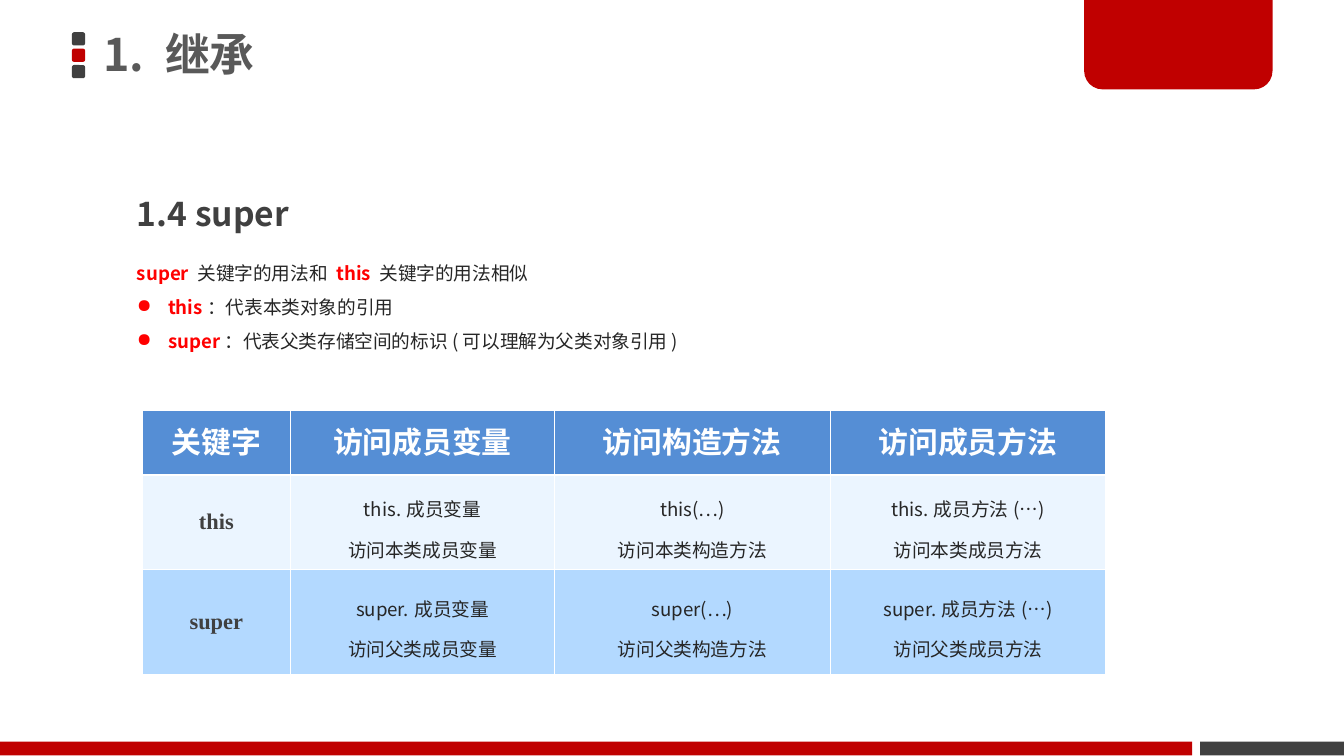
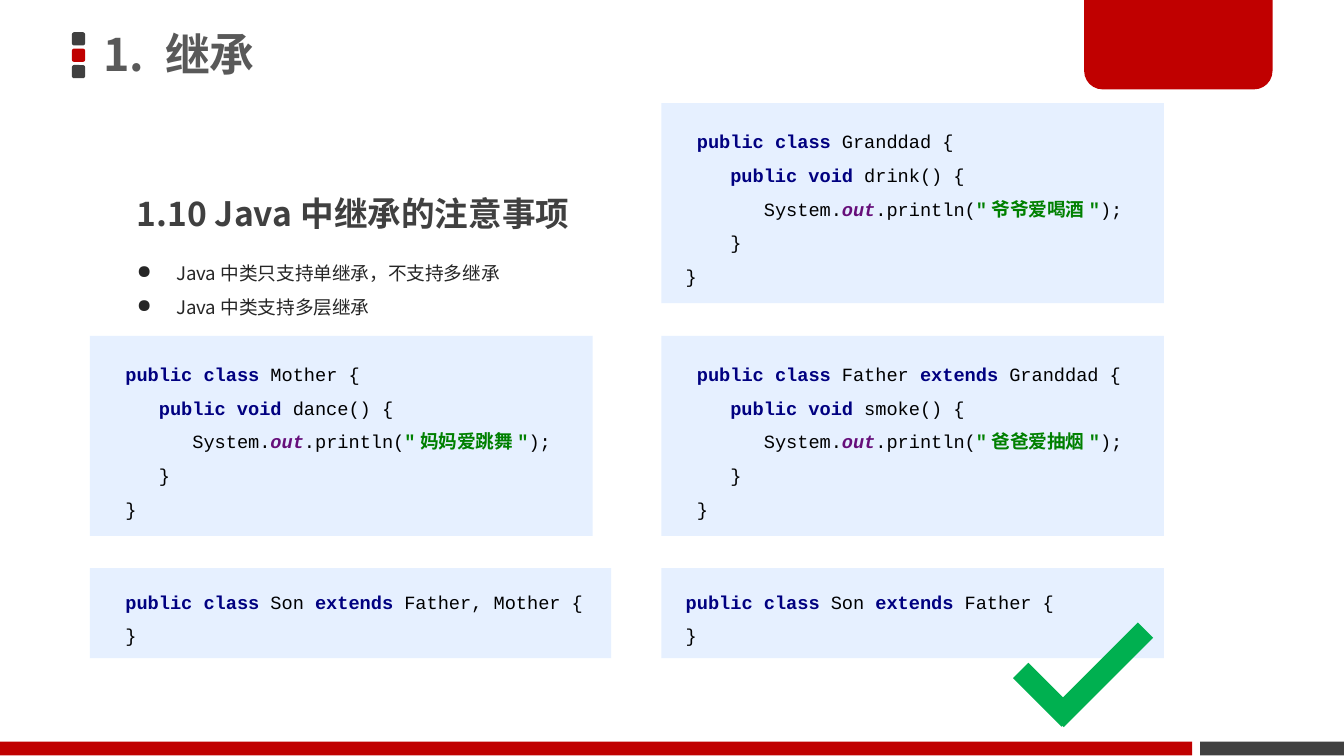
from copy import deepcopy
from dataclasses import dataclass
from typing import NamedTuple

from lxml.etree import SubElement
from pptx import Presentation
from pptx.dml.color import RGBColor
from pptx.enum.shapes import MSO_SHAPE as Preset
from pptx.enum.text import MSO_ANCHOR as Anchor, MSO_AUTO_SIZE as AutoSize, PP_ALIGN as Align
from pptx.oxml.ns import qn
from pptx.util import Cm, Pt

RED, DARK, WHITE = "C00000", "404040", "FFFFFF"
BRIGHT_RED, BODY_GREY, TITLE_GREY = "FF0000", "262626", "595959"
CODE_FILL, CHECK_GREEN = "E6F0FF", "00B050"
HEADER_FILL, THIS_FILL, SUPER_FILL = "558ED5", "EBF5FF", "B3D9FF"
CJK_FONT = "Noto Sans CJK SC"
THIN, THICK = 0.45, 1.47


class Style(NamedTuple):
    """Colour and font values of a run."""
    color: str
    font: dict


class Run(NamedTuple):
    """A stretch of text in one style."""
    text: str
    style: Style


class Box(NamedTuple):
    """A place on the slide, in centimetres."""
    left: float
    top: float
    width: float
    height: float

    def lengths(self) -> list:
        """Return the four values as lengths."""
        return [Cm(value) for value in self]


@dataclass
class Paragraph:
    """Runs with their paragraph settings."""
    runs: list
    spacing: object = 1.5
    align: Align = Align.LEFT
    bullet: str = ""
    indent: float = 0


@dataclass
class Block:
    """A preset shape with a plain fill."""
    box: Box
    fill: str
    preset: Preset = Preset.RECTANGLE
    adjustments: tuple = ()
    rotation: float = 0


def style(color: str, size: float, name: str = CJK_FONT, bold: bool = False, italic: bool = False) -> Style:
    """Make a run style."""
    return Style(color, {"name": name, "size": Pt(size), "bold": bold, "italic": italic})


TITLE = style(TITLE_GREY, 24, bold=True)
HEADING = style(DARK, 18, bold=True)
BODY = style(BODY_GREY, 10)
TERM = style(BRIGHT_RED, 10, bold=True)
TABLE_HEADER = style(WHITE, 16, "Calibri", bold=True)
TABLE_KEYWORD = style(DARK, 12, "Times New Roman", bold=True)
CODE = style("000000", 10, "Courier New")
KEYWORD = style("000080", 10, "Courier New", bold=True)
STRING = style("008000", 10, "Courier New", bold=True)
FIELD = style("660E7A", 10, "Courier New", bold=True, italic=True)

BLOCKS = [
    *(Block(Box(1.36, 0.61 + 0.31 * row, 0.25, 0.25), color, Preset.ROUNDED_RECTANGLE, (0.167,))
      for row, color in enumerate((DARK, RED, DARK))),
    Block(Box(22.68, 14.02, 2.72, 0.26), DARK),
    Block(Box(20.49, -0.05, 3.56, 1.74), RED, Preset.ROUND_2_SAME_RECTANGLE, (0, 0.2)),
    Block(Box(0, 14.02, 22.53, 0.26), RED),
]
CHECK_MARK = [
    Block(Box(19.1, 12.93, 1.3, 0.41), CHECK_GREEN, rotation=45),
    Block(Box(19.61, 12.55, 2.39, 0.41), CHECK_GREEN, rotation=315),
]


def set_attributes(target: object, values: dict) -> None:
    """Set each named value on the target."""
    for name, value in values.items():
        setattr(target, name, value)


def set_fill(target: object, color: str) -> None:
    """Fill a shape or a cell with a hex colour."""
    target.fill.solid()
    target.fill.fore_color.rgb = RGBColor.from_string(color)


def add_color(parent: object, tag: str, color: str) -> None:
    """Add an element that holds a hex colour."""
    SubElement(SubElement(parent, qn(tag)), qn("a:srgbClr"), val=color)


def add_run(paragraph: object, text: str, look: Style) -> object:
    """Add a styled run and return its properties."""
    run = paragraph.add_run()
    run.text = text
    run.font.color.rgb = RGBColor.from_string(look.color)
    set_attributes(run.font, look.font)
    properties = run.font._element
    SubElement(properties, qn("a:ea"), typeface=CJK_FONT)
    return properties


def write_paragraph(paragraph: object, content: Paragraph) -> None:
    """Fill a paragraph with runs, line breaks and a bullet."""
    set_attributes(paragraph, {"line_spacing": content.spacing, "alignment": content.align})
    if content.bullet:
        properties = paragraph._p.get_or_add_pPr()
        properties.set("marL", str(Cm(content.indent)))
        properties.set("indent", str(-Cm(content.indent)))
        add_color(properties, "a:buClr", content.bullet)
        SubElement(properties, qn("a:buChar"), char="●")
    for text, look in content.runs:
        for index, line in enumerate(text.split("\n")):
            if index:
                paragraph.add_line_break()
            properties = add_run(paragraph, line, look)
            if index:
                paragraph._p.findall(qn("a:br"))[-1].append(deepcopy(properties))


def write_text(frame: object, contents: list) -> None:
    """Write paragraphs into a text frame."""
    for index, content in enumerate(contents):
        write_paragraph(frame.add_paragraph() if index else frame.paragraphs[0], content)


def add_block(slide: object, block: Block) -> object:
    """Draw a plain shape."""
    shape = slide.shapes.add_shape(block.preset, *block.box.lengths())
    set_attributes(shape, {"rotation": block.rotation})
    set_attributes(shape.shadow, {"inherit": False})
    set_fill(shape, block.fill)
    shape.line.fill.background()
    for index, value in enumerate(block.adjustments):
        shape.adjustments[index] = value
    return shape


def add_text(slide: object, box: Box, contents: list, **frame_values: object) -> None:
    """Draw a wrapping text box."""
    frame = slide.shapes.add_textbox(*box.lengths()).text_frame
    set_attributes(frame, {"word_wrap": True, **frame_values})
    write_text(frame, contents)


def add_code(slide: object, box: Box, runs: list) -> None:
    """Draw a code panel."""
    frame = add_block(slide, Block(box, CODE_FILL)).text_frame
    set_attributes(frame, {"word_wrap": True, "vertical_anchor": Anchor.MIDDLE})
    write_text(frame, [Paragraph(runs)])


def class_head(name: str, parent: str, ending: str, lead: str = "  ") -> list:
    """Return the runs that open a class."""
    start = Run(lead + "public class ", KEYWORD)
    if not parent:
        return [start, Run(name + ending, CODE)]
    return [start, Run(name + " ", CODE), Run("extends ", KEYWORD), Run(parent + ending, CODE)]


def class_code(name: str, method: str, message: str, parent: str = "", lead: str = "  ") -> list:
    """Return the runs of a class with one printing method."""
    return class_head(name, parent, " {\n     ") + [
        Run("public void ", KEYWORD),
        Run(method + "() {\n        System.", CODE),
        Run("out", FIELD),
        Run(".println(", CODE),
        Run(f'"{message}"', STRING),
        Run(");\n     }\n" + lead + "}", CODE),
    ]


def add_borders(cell: object, top: float, bottom: float) -> None:
    """Give a cell white borders."""
    properties = cell._tc.get_or_add_tcPr()
    for side, width in zip("LRTB", (THIN, THIN, top, bottom)):
        line = SubElement(properties, qn("a:ln" + side), w=str(Pt(width)))
        add_color(line, "a:solidFill", WHITE)


def add_keyword_table(slide: object) -> None:
    """Draw the table that compares this and super."""
    widths, heights = (2.8, 4.99, 5.21, 5.21), (1.23, 1.78, 1.99)
    box = Box(2.69, 7.75, sum(widths), sum(heights))
    table = slide.shapes.add_table(len(heights), len(widths), *box.lengths()).table
    set_attributes(table, {"first_row": False, "horz_banding": False})
    for column, width in zip(table.columns, widths):
        column.width = Cm(width)
    for row, height in zip(table.rows, heights):
        row.height = Cm(height)

    members = ("成员变量", "构造方法", "成员方法")
    rows = [[[label] for label in ("关键字", *("访问" + member for member in members))]]
    for keyword, owner in (("this", "本类"), ("super", "父类")):
        calls = (f"{keyword}.成员变量", f"{keyword}(…)", f"{keyword}.成员方法(…)")
        rows.append([[keyword], *([call, f"访问{owner}{member}"] for call, member in zip(calls, members))])

    fills = (HEADER_FILL, THIS_FILL, SUPER_FILL)
    edges = (THIN, THICK, THIN, THIN)
    for row_index, (labels, fill) in enumerate(zip(rows, fills)):
        for column_index, lines in enumerate(labels):
            cell = table.cell(row_index, column_index)
            add_borders(cell, edges[row_index], edges[row_index + 1])
            set_fill(cell, fill)
            if row_index == 0:
                look, spacing = TABLE_HEADER, Pt(24)
            else:
                look, spacing = (BODY, 1.5) if column_index else (TABLE_KEYWORD, 1.0)
                cell.vertical_anchor = Anchor.MIDDLE
            write_text(cell.text_frame,
                       [Paragraph([Run(line, look)], spacing, Align.CENTER) for line in lines])


def add_lesson_slide(presentation: object, heading: str, body: Box, contents: list) -> object:
    """Add a slide with the shared frame, its heading and its body text."""
    slide = presentation.slides.add_slide(presentation.slide_layouts[6])
    for block in BLOCKS:
        add_block(slide, block)
    add_text(slide, Box(1.75, -0.05, 14.96, 2.26), [Paragraph([Run("1. 继承", TITLE)], 0.9)],
             vertical_anchor=Anchor.MIDDLE, margin_left=Cm(0.2), margin_right=Cm(0.2),
             margin_top=Cm(0.1), margin_bottom=Cm(0.1))
    add_text(slide, Box(2.34, 3.15, 9.75, 1.4), [Paragraph([Run(heading, HEADING)])],
             auto_size=AutoSize.SHAPE_TO_FIT_TEXT)
    add_text(slide, body, contents, auto_size=AutoSize.SHAPE_TO_FIT_TEXT)
    return slide


def add_super_slide(presentation: object) -> None:
    """Add the slide about super."""
    meanings = {"this": "：代表本类对象的引用", "super": "：代表父类存储空间的标识(可以理解为父类对象引用)"}
    contents = [Paragraph([Run("super ", TERM), Run("关键字的用法和 ", BODY),
                           Run("this ", TERM), Run("关键字的用法相似", BODY)])]
    contents += [Paragraph([Run(term, TERM), Run(meaning, BODY)], bullet=BRIGHT_RED, indent=0.59)
                 for term, meaning in meanings.items()]
    slide = add_lesson_slide(presentation, "1.4 super", Box(2.34, 4.62, 21.56, 2.79), contents)
    add_keyword_table(slide)


def add_notes_slide(presentation: object) -> None:
    """Add the slide about the rules of inheritance."""
    rules = ("Java中类只支持单继承，不支持多继承", "Java中类支持多层继承")
    slide = add_lesson_slide(
        presentation, "1.10 Java中继承的注意事项", Box(2.34, 4.62, 9.75, 1.52),
        [Paragraph([Run(rule, BODY)], bullet=BODY_GREY, indent=0.74) for rule in rules])
    left, right, width = 1.7, 12.5, 9.5
    class_top, class_height, son_top, son_height = 6.35, 3.78, 10.74, 1.7
    panels = [
        (Box(right, son_top, width, son_height), class_head("Son", "Father", " {\n }", " ")),
        (Box(right, 1.95, width, class_height), class_code("Granddad", "drink", "爷爷爱喝酒", lead=" ")),
        (Box(right, class_top, width, class_height), class_code("Father", "smoke", "爸爸爱抽烟", "Granddad")),
        (Box(left, class_top, width, class_height), class_code("Mother", "dance", "妈妈爱跳舞")),
        (Box(left, son_top, 9.85, son_height), class_head("Son", "Father, Mother", " {\n  }")),
    ]
    for box, runs in panels:
        add_code(slide, box, runs)
    for stroke in CHECK_MARK:
        add_block(slide, stroke)


def main() -> None:
    """Build and save the presentation."""
    presentation = Presentation()
    set_attributes(presentation, {"slide_width": Cm(25.4), "slide_height": Cm(14.29)})
    add_super_slide(presentation)
    add_notes_slide(presentation)
    presentation.save("out.pptx")


if __name__ == "__main__":
    main()
